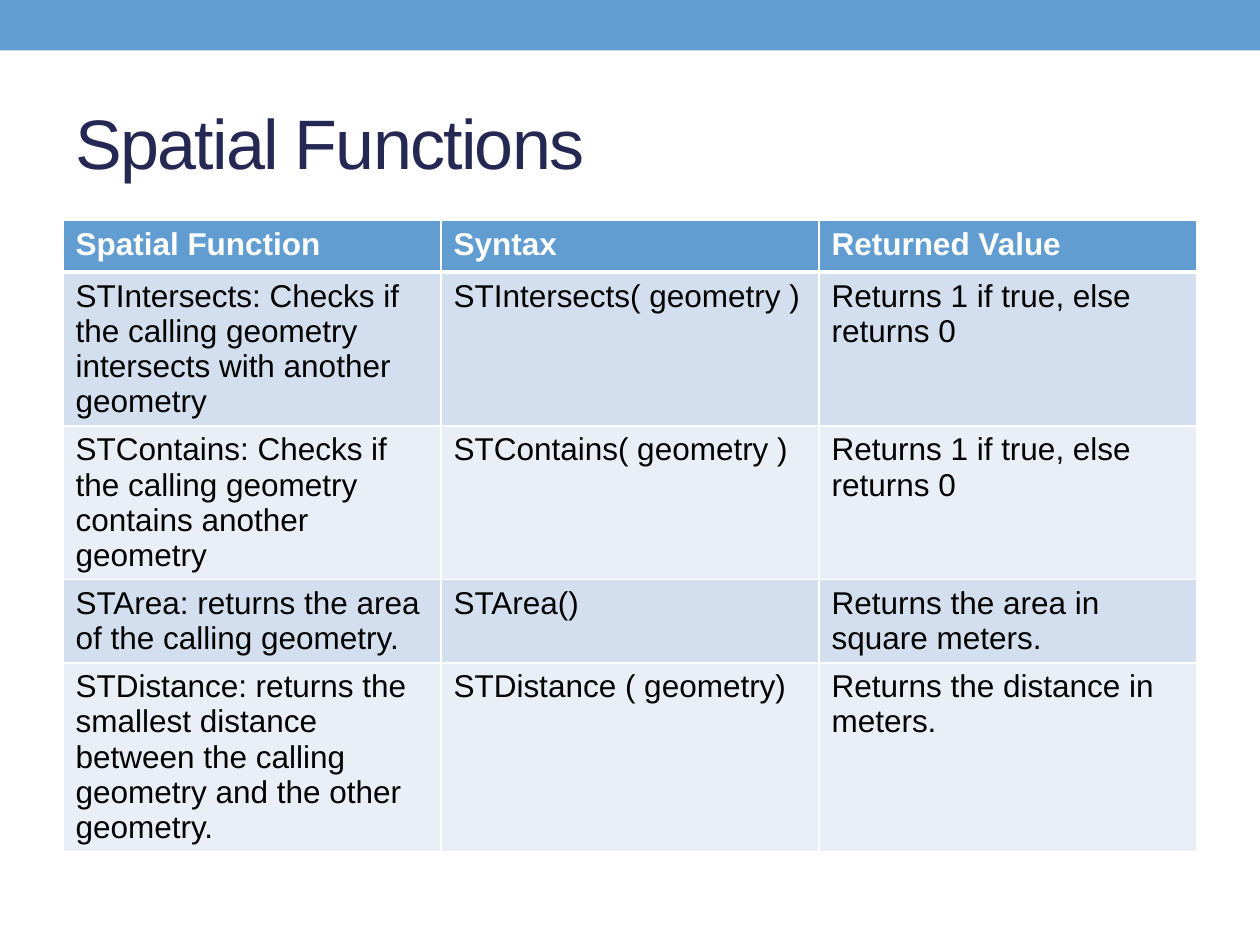
from dataclasses import astuple, dataclass

from lxml.etree import SubElement
from pptx import Presentation
from pptx.dml.color import RGBColor
from pptx.enum.shapes import MSO_SHAPE as Shape
from pptx.enum.text import MSO_ANCHOR as Anchor, MSO_AUTO_SIZE as AutoSize, PP_ALIGN as Align
from pptx.oxml.ns import qn
from pptx.util import Inches, Pt

BLUE, NAVY, WHITE, BLACK = "629DD1", "242852", "FFFFFF", "000000"
BANDS = ("D3DFEE", "EAEFF7")
FONT = "Arial"


@dataclass
class SpatialFunction:
    description: str
    syntax: str
    returned: str


HEADER = SpatialFunction("Spatial Function", "Syntax", "Returned Value")
FUNCTIONS = [
    SpatialFunction(
        "STIntersects: Checks if the calling geometry intersects with another geometry",
        "STIntersects( geometry )", "Returns 1 if true, else returns 0"),
    SpatialFunction(
        "STContains: Checks if the calling geometry contains another geometry",
        "STContains( geometry )", "Returns 1 if true, else returns 0"),
    SpatialFunction(
        "STArea: returns the area of the calling geometry.",
        "STArea()", "Returns the area in square meters."),
    SpatialFunction(
        "STDistance: returns the smallest distance between the calling geometry "
        "and the other geometry.",
        "STDistance ( geometry)", "Returns the distance in meters."),
]


def rgb(color: str) -> RGBColor:
    return RGBColor.from_string(color)


def format_run(r, size: float, color: str, bold: bool = False) -> None:
    r.font.name = FONT
    r.font.size = Pt(size)
    r.font.bold = bold
    r.font.color.rgb = rgb(color)


def add_border(cell, side: str, width: float) -> None:
    ln = SubElement(cell._tc.get_or_add_tcPr(), qn(f"a:ln{side}"), w=str(Pt(width)))
    SubElement(SubElement(ln, qn("a:solidFill")), qn("a:srgbClr"), val=WHITE)


def add_bar(s) -> None:
    bar = s.shapes.add_shape(Shape.RECTANGLE, 0, 0, Inches(10), Inches(0.4))
    bar.shadow.inherit = False
    bar.fill.solid()
    bar.fill.fore_color.rgb = rgb(BLUE)
    bar.line.fill.background()


def set_title(s, text: str) -> None:
    title = s.shapes.title
    title.left, title.top = Inches(0.5), Inches(0.58)
    title.width, title.height = Inches(9), Inches(1.08)
    tf = title.text_frame
    tf.text = text
    tf.auto_size = AutoSize.NONE
    tf.vertical_anchor = Anchor.MIDDLE
    p = tf.paragraphs[0]
    p.alignment = Align.LEFT
    r = p.runs[0]
    format_run(r, 40, NAVY)
    r.font._element.set("spc", "-100")


def fill_cell(cell, text: str, row: int) -> None:
    is_header = row == 0
    widths = {"L": 1, "R": 1, "T": 3 if row == 1 else 1, "B": 3 if is_header else 1}
    for side, width in widths.items():
        add_border(cell, side, width)
    cell.fill.solid()
    cell.fill.fore_color.rgb = rgb(BLUE if is_header else BANDS[(row - 1) % 2])
    cell.text = text
    format_run(cell.text_frame.paragraphs[0].runs[0], 18,
               WHITE if is_header else BLACK, is_header)


def add_function_table(s, rows: list[SpatialFunction]) -> None:
    frame = s.shapes.add_table(len(rows), 3, Inches(0.5), Inches(1.75), Inches(9), Inches(5.31))
    table = frame.table
    for i, entry in enumerate(rows):
        table.rows[i].height = Inches(0.41)
        for j, text in enumerate(astuple(entry)):
            fill_cell(table.cell(i, j), text, i)
    frame.height = Inches(5.31)


def main() -> None:
    prs = Presentation()
    prs.slide_width, prs.slide_height = Inches(10), Inches(7.5)
    s = prs.slides.add_slide(prs.slide_layouts[5])
    add_bar(s)
    set_title(s, "Spatial Functions")
    add_function_table(s, [HEADER, *FUNCTIONS])
    prs.save("out.pptx")


if __name__ == "__main__":
    main()
